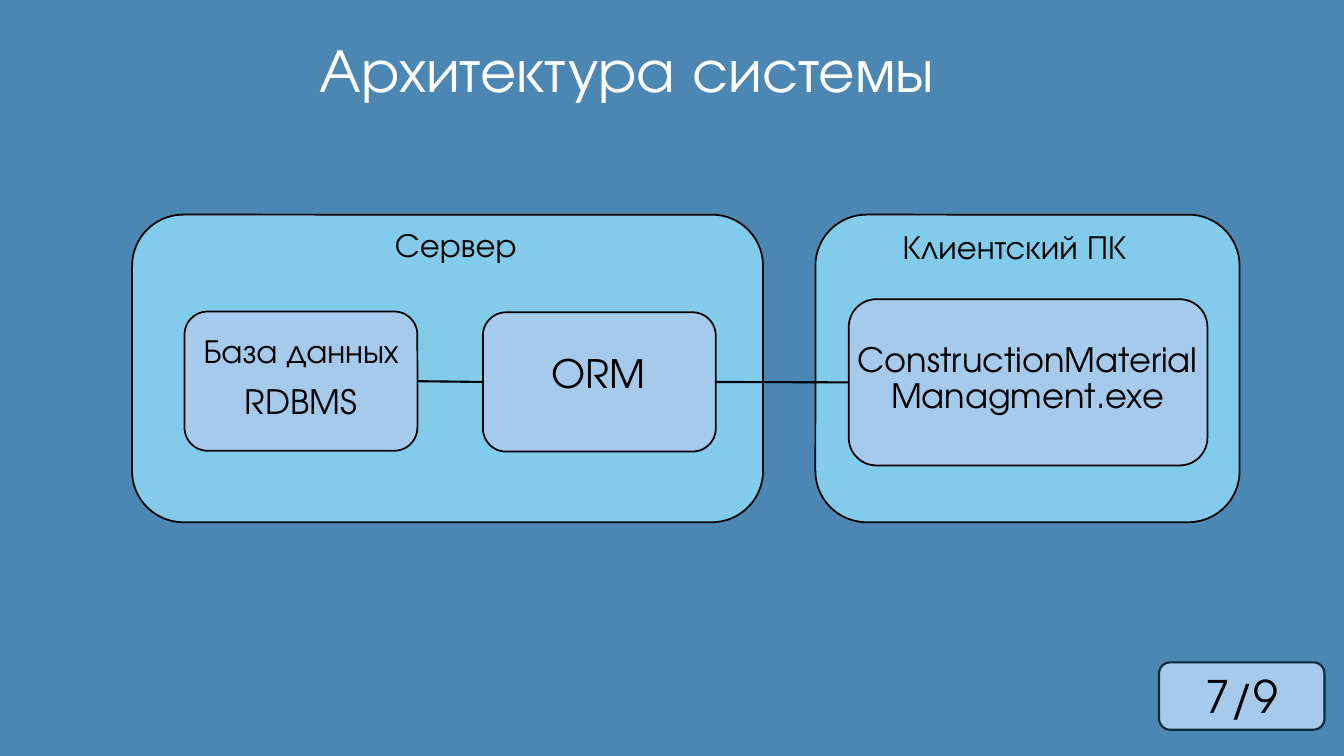
from lxml.etree import SubElement
from pptx import Presentation
from pptx.dml.color import RGBColor
from pptx.enum.shapes import MSO_CONNECTOR, MSO_SHAPE
from pptx.enum.text import MSO_ANCHOR, PP_ALIGN
from pptx.oxml.ns import qn
from pptx.util import Cm, Pt

BLACK = "000000"
WHITE = "FFFFFF"
BACK = "4C86B2"
SKY = "83CBEB"
PALE = "A6CAEC"
NAVY = "092A39"


def tint(code):
    return RGBColor.from_string(code)


def write(frame, text, font, size=24, color=BLACK, align=PP_ALIGN.LEFT, space=None, before=0):
    for i, line in enumerate(text.split("\n")):
        para = frame.paragraphs[0] if i == 0 else frame.add_paragraph()
        para.alignment = align
        para.line_spacing = space
        para.space_before = Pt(before)
        run = para.add_run()
        run.text = line
        run.font.name = font
        run.font.size = Pt(size)
        run.font.color.rgb = tint(color)


class Board:
    font = "TeX Gyre Adventor"
    body = {"align": PP_ALIGN.CENTER, "space": 0.9, "before": 10}

    def __init__(self, slide):
        self.slide = slide
        fill = slide.background.fill
        fill.solid()
        fill.fore_color.rgb = tint(BACK)

    def box(self, left, top, width, height, fill, edge=BLACK, weight=1.25):
        shape = self.slide.shapes.add_shape(
            MSO_SHAPE.ROUNDED_RECTANGLE, Cm(left), Cm(top), Cm(width), Cm(height))
        shape.shadow.inherit = False
        shape.fill.solid()
        shape.fill.fore_color.rgb = tint(fill)
        shape.line.color.rgb = tint(edge)
        shape.line.width = Pt(weight)
        return shape

    def badge(self, text, *place):
        frame = self.box(*place, PALE, NAVY, 1.5).text_frame
        frame.vertical_anchor = MSO_ANCHOR.MIDDLE
        write(frame, text, self.font, size=32, align=PP_ALIGN.CENTER)

    def label(self, text, left, top, width, height, wrap=True, **style):
        frame = self.slide.shapes.add_textbox(
            Cm(left), Cm(top), Cm(width), Cm(height)).text_frame
        frame.word_wrap = wrap
        write(frame, text, self.font, **style)

    def link(self, start, end):
        line = self.slide.shapes.add_connector(MSO_CONNECTOR.STRAIGHT, 0, 0, 0, 0)
        line.begin_connect(start, 3)
        line.end_connect(end, 1)
        line.line.color.rgb = tint(BLACK)
        line.line.width = Pt(1.5)
        SubElement(line._element.spPr, qn("a:effectLst"))


def main():
    deck = Presentation()
    deck.slide_width = Cm(33.87)
    deck.slide_height = Cm(19.05)
    board = Board(deck.slides.add_slide(deck.slide_layouts[6]))

    board.label("Архитектура системы", 7.8, 0.66, 18.29, 2.13, size=44, color=WHITE)
    board.badge("7/9", 29.21, 16.69, 4.17, 1.7)

    for left, width in ((3.33, 15.9), (20.55, 10.69)):
        board.box(left, 5.41, width, 7.75, SKY)
    store = board.box(4.65, 7.85, 5.87, 3.51, PALE)
    mapper = board.box(12.17, 7.87, 5.87, 3.51, PALE)
    client = board.box(21.39, 7.54, 9.04, 4.19, PALE)

    board.label("База данных\nRDBMS", 4.62, 8.31, 5.94, 2.62, **board.body)
    board.label("ORM", 13.64, 8.81, 2.9, 1.42, size=28, **board.body)
    board.link(store, mapper)
    board.link(mapper, client)
    board.label("Сервер", 9.7, 5.51, 3.89, 1.27, wrap=False)
    board.label("Клиентский ПК", 22.5, 5.56, 6.76, 1.27, wrap=False)
    board.label("ConstructionMaterialManagment.exe", 21.26, 8.53, 9.27, 1.96, **board.body)

    deck.save("out.pptx")


if __name__ == "__main__":
    main()
